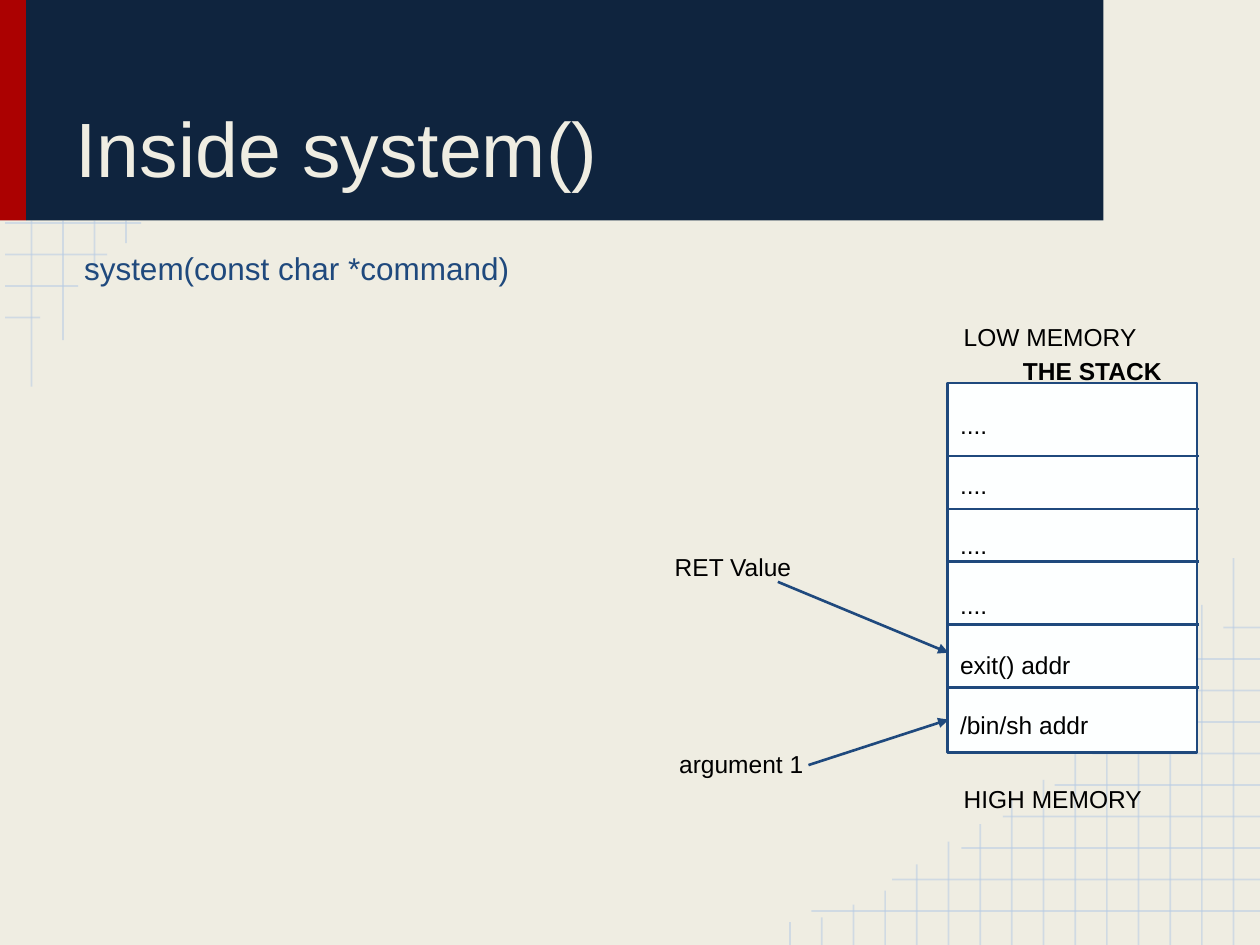
from lxml import etree
from pptx import Presentation
from pptx.dml.color import RGBColor
from pptx.enum.shapes import MSO_CONNECTOR, MSO_SHAPE
from pptx.enum.text import MSO_ANCHOR, MSO_AUTO_SIZE, PP_ALIGN
from pptx.oxml.ns import qn
from pptx.util import Pt

STRAIGHT = MSO_CONNECTOR.STRAIGHT
RECTANGLE = MSO_SHAPE.RECTANGLE
TOP, BOTTOM = MSO_ANCHOR.TOP, MSO_ANCHOR.BOTTOM
LEFT = PP_ALIGN.LEFT
NO_AUTOFIT = MSO_AUTO_SIZE.NONE

COLORS = {
    "background": "EFEDE2",
    "grid": "B7CCE4",
    "accent": "AB0101",
    "banner": "0F243E",
    "blue": "1F497D",
    "cell": "FDFFFF",
    "text": "000000",
}
GRID_STEP = 18


class SlideBuilder:
    font = "Arial"
    margin = 7.2

    def __init__(self, presentation):
        self.slide = presentation.slides.add_slide(presentation.slide_layouts[5])
        self.paint(self.slide.background.fill, "background")

    def color(self, name):
        return RGBColor.from_string(COLORS[name])

    def paint(self, fill, name):
        fill.solid()
        fill.fore_color.rgb = self.color(name)

    def place(self, shape, left, top, width, height):
        shape.left, shape.top = Pt(left), Pt(top)
        shape.width, shape.height = Pt(width), Pt(height)

    def set_text(self, shape, text, size, color, bold=False, anchor=TOP, gap=0):
        frame = shape.text_frame
        frame.text = text
        frame.word_wrap = True
        frame.auto_size = NO_AUTOFIT
        frame.vertical_anchor = anchor
        frame.margin_left = frame.margin_right = Pt(self.margin)
        frame.margin_top = frame.margin_bottom = Pt(self.margin)
        for index, paragraph in enumerate(frame.paragraphs):
            paragraph.alignment = LEFT
            paragraph.space_before = Pt(gap if index else 0)
            for run in paragraph.runs:
                run.font.name = self.font
                run.font.size = Pt(size)
                run.font.bold = bold
                run.font.color.rgb = self.color(color)
        return frame

    def title(self, text, box):
        shape = self.slide.shapes.title
        self.place(shape, *box)
        self.set_text(shape, text, 44, "background", anchor=BOTTOM)

    def label(self, text, box, size=14, color="text", bold=False):
        shape = self.slide.shapes.add_textbox(*map(Pt, box))
        self.set_text(shape, text, size, color, bold)

    def rectangle(self, box, fill, line=None):
        shape = self.slide.shapes.add_shape(RECTANGLE, *map(Pt, box))
        shape.shadow.inherit = False
        self.paint(shape.fill, fill)
        if line:
            shape.line.color.rgb = self.color(line)
            shape.line.width = Pt(1.5)
        else:
            shape.line.fill.background()
        return shape

    def line(self, start, end, color="blue", width=1.5, opacity=None, arrow=False):
        connector = self.slide.shapes.add_connector(
            STRAIGHT, *map(Pt, (*start, *end)))
        connector.line.color.rgb = self.color(color)
        connector.line.width = Pt(width)
        properties = connector._element.spPr
        outline = properties.find(qn("a:ln"))
        if opacity:
            rgb = outline.find(".//" + qn("a:srgbClr"))
            etree.SubElement(rgb, qn("a:alpha")).set("val", str(opacity * 1000))
        if arrow:
            etree.SubElement(outline, qn("a:tailEnd")).set("type", "triangle")
        etree.SubElement(properties, qn("a:effectLst"))

    def grid_line(self, start, end):
        self.line(start, end, "grid", 1, opacity=54)

    def stack(self, box, rows, dividers):
        shape = self.rectangle(box, "cell", "blue")
        frame = self.set_text(shape, "\n".join(rows), 14, "text", gap=17.5)
        frame.margin_top = Pt(15.3)
        left, _, width, _ = box
        for y in dividers:
            self.line((left + 0.7, y), (left + width + 1.3, y))


def draw_grids(builder):
    banner_bottom = 126
    for index, right in enumerate((80.6, 61.2, 44.6, 23)):
        y = 127.4 + index * GRID_STEP
        builder.grid_line((2.9, y), (right, y))
    for index, bottom in enumerate((221, 194.4, 159.1, 139)):
        x = (index + 1) * GRID_STEP
        builder.grid_line((x, banner_bottom), (x, bottom))

    row_starts = (463.7, 509.8, 549.4, 573.1, 602.6, 624.2, 642.2, 661.7, 678.2, 699.1)
    for index, left in enumerate(row_starts):
        y = 520.6 - index * GRID_STEP
        builder.grid_line((left, y), (720, y))
    column_tops = (319, 345.6, 380.9, 401, 416.2, 428.4, 445.7, 457.2,
                   470.9, 481, 493.9, 509, 517, 524.2, 527)
    for index, top in enumerate(column_tops):
        x = 704.9 - index * 18.1
        builder.grid_line((x, top), (x, 540))


def main():
    presentation = Presentation()
    presentation.slide_width, presentation.slide_height = Pt(720), Pt(540)
    builder = SlideBuilder(presentation)

    draw_grids(builder)
    builder.rectangle((0, 0, 15, 126), "accent")
    builder.rectangle((15, 0, 615.5, 126), "banner")
    title_element = builder.slide.shapes.title._element
    title_element.getparent().append(title_element)
    builder.title("Inside system()", (36, 10.8, 576, 106.6))
    builder.label("system(const char *command)", (41, 134.9, 643, 380), 18, "blue")

    builder.stack(
        (541.5, 218.9, 142.5, 211),
        ["...."] * 4 + ["exit() addr", "/bin/sh addr"],
        (260.7, 290.9, 321, 357, 393),
    )
    builder.label("THE STACK", (577.5, 196.5, 108, 20), bold=True)
    for text, box in (
        ("RET Value", (378.5, 308.5, 136, 34)),
        ("argument 1", (381, 421, 120, 30)),
        ("HIGH MEMORY", (543.6, 440.7, 124, 26)),
        ("LOW MEMORY", (543.6, 176.7, 124, 26)),
    ):
        builder.label(text, box)
    builder.line((444.5, 332.5), (542, 373), arrow=True)
    builder.line((462, 437.2), (542, 411.2), arrow=True)

    presentation.save("out.pptx")


if __name__ == "__main__":
    main()
